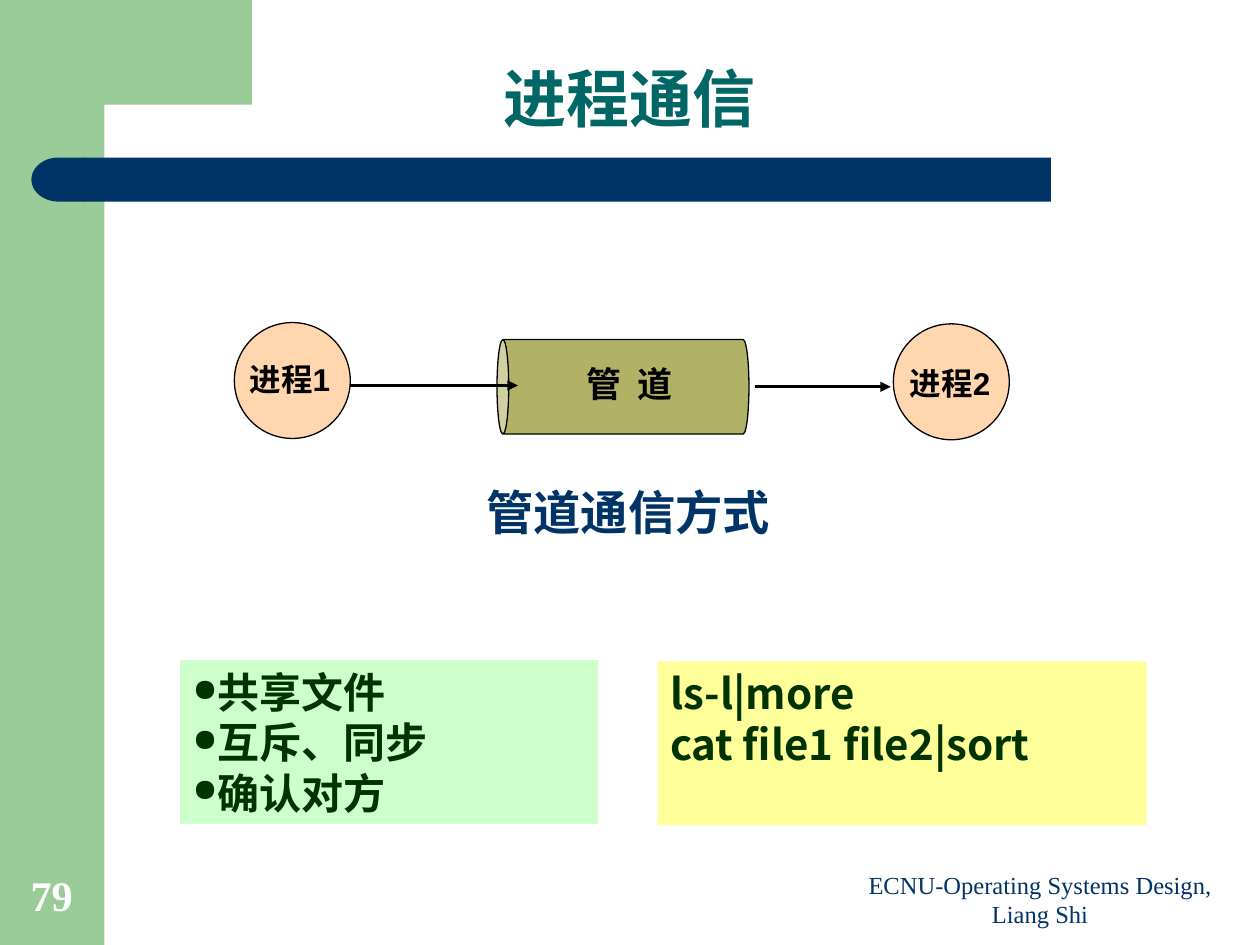
from dataclasses import dataclass

from lxml.etree import SubElement
from pptx import Presentation
from pptx.dml.color import RGBColor
from pptx.enum.shapes import MSO_CONNECTOR, MSO_SHAPE
from pptx.enum.text import MSO_ANCHOR, PP_ALIGN
from pptx.oxml.ns import qn
from pptx.util import Inches, Pt


@dataclass(frozen=True)
class Theme:
    green: str = "99CC99"
    navy: str = "003366"
    teal: str = "006666"
    peach: str = "FFCC99"
    olive: str = "808000"
    mint: str = "CCFFCC"
    yellow: str = "FFFF99"
    dark_green: str = "003300"
    black: str = "000000"
    white: str = "FFFFFF"
    sans: str = "Arial"
    serif: str = "Times New Roman"
    chinese: str = "Noto Sans CJK SC"
    title: float = 36
    caption: float = 27
    note: float = 24
    pipe: float = 20
    process: float = 18
    footer: float = 14
    number: float = 24.1


THEME = Theme()


def inches(*lengths):
    return [Inches(length) for length in lengths]


def paint(shape, fill, alpha=None, outline=None):
    """Fill a shape; alpha is the opacity in percent."""
    shape.shadow.inherit = False
    shape.fill.solid()
    shape.fill.fore_color.rgb = RGBColor.from_string(fill)
    if alpha is not None:
        color = shape.fill._xPr.find(qn("a:solidFill"))[0]
        SubElement(color, qn("a:alpha"), val=str(alpha * 1000))
    if outline:
        shape.line.color.rgb = RGBColor.from_string(outline)
        shape.line.width = Pt(0.75)
    else:
        shape.line.fill.background()


def add_shape(page, kind, place, fill, **look):
    shape = page.shapes.add_shape(kind, *inches(*place))
    paint(shape, fill, **look)
    return shape


def add_bullet(para, color):
    properties = para._p.get_or_add_pPr()
    bullet_color = SubElement(properties, qn("a:buClr"))
    SubElement(bullet_color, qn("a:srgbClr"), val=color)
    SubElement(properties, qn("a:buSzPct"), val="75000")
    SubElement(properties, qn("a:buChar"), char="●")


def write(box, text, size, color, font=THEME.sans, bold=True, align=PP_ALIGN.CENTER,
          anchor=MSO_ANCHOR.TOP, inset=(0.1, 0.05), spacing=None, bullets=False):
    """Write each line of text as one paragraph of the box."""
    frame = box.text_frame
    frame.word_wrap = True
    frame.vertical_anchor = anchor
    frame.margin_left = frame.margin_right = Inches(inset[0])
    frame.margin_top = frame.margin_bottom = Inches(inset[1])
    for index, line in enumerate(text.split("\n")):
        para = frame.add_paragraph() if index else frame.paragraphs[0]
        para.alignment = align
        if spacing:
            para.line_spacing = spacing
        if bullets:
            add_bullet(para, color)
        span = para.add_run()
        span.text = line
        span.font.size = Pt(size)
        span.font.bold = bold
        span.font.color.rgb = RGBColor.from_string(color)
        span.font.name = font
        SubElement(span._r.get_or_add_rPr(), qn("a:ea"), typeface=THEME.chinese)


def add_text(page, place, text, size, color, **look):
    write(page.shapes.add_textbox(*inches(*place)), text, size, color, **look)


def add_arrow(page, start, end, y):
    arrow = page.shapes.add_connector(MSO_CONNECTOR.STRAIGHT, *inches(start, y, end, y))
    arrow.line.color.rgb = RGBColor.from_string(THEME.black)
    arrow.line.width = Pt(1.5)
    SubElement(arrow.line._get_or_add_ln(), qn("a:tailEnd"), type="triangle")
    SubElement(arrow._element.spPr, qn("a:effectLst"))


def add_frame(page):
    """Green side band with its corner, and the navy bar under the title."""
    add_shape(page, MSO_SHAPE.RECTANGLE, (0, 0, 0.83, 7.5), THEME.green)
    corner = [(0.5, 0), (0.5, 1.28), (0.67, 1.28), (0.67, 1.16), (0.68, 1.04),
              (0.71, 0.92), (0.77, 0.85), (0.83, 0.83), (2, 0.83)]
    start, *others = [inches(*point) for point in corner]
    builder = page.shapes.build_freeform(*inches(2, 0))
    builder.add_line_segments([start, *others], close=True)
    paint(builder.convert_to_shape(), THEME.green)
    add_shape(page, MSO_SHAPE.RECTANGLE, (0.67, 1.25, 7.67, 0.35), THEME.navy)
    cap = add_shape(page, MSO_SHAPE.FLOWCHART_DELAY, (0.25, 1.25, 0.43, 0.35), THEME.navy)
    cap._element.spPr.xfrm.set("flipH", "1")


def add_pipe_diagram(page):
    for left, top in ((1.86, 2.56), (7.09, 2.57)):
        add_shape(page, MSO_SHAPE.OVAL, (left, top, 0.92, 0.92), THEME.peach,
                  alpha=80, outline=THEME.black)
    pipe = add_shape(page, MSO_SHAPE.CAN, (4.57, 2.07, 0.75, 2), THEME.olive,
                     alpha=60, outline=THEME.black)
    pipe.adjustments[0] = 0.124
    pipe.rotation = 270
    add_arrow(page, 2.78, 4.11, 3.06)
    add_arrow(page, 5.99, 7.07, 3.07)
    add_text(page, (4.24, 2.83, 1.51, 0.44), "管  道", THEME.pipe, THEME.black)
    for left, top, label in ((1.74, 2.81, "进程1"), (6.98, 2.84, "进程2")):
        add_text(page, (left, top, 1.12, 0.4), label, THEME.process, THEME.black)


def add_note(page, place, fill, text, **look):
    note = add_shape(page, MSO_SHAPE.RECTANGLE, place, fill)
    write(note, text, THEME.note, THEME.dark_green, font=THEME.chinese,
          align=PP_ALIGN.LEFT, **look)


def main():
    deck = Presentation()
    deck.slide_width, deck.slide_height = inches(10, 7.5)
    page = deck.slides.add_slide(deck.slide_layouts[6])
    add_frame(page)
    add_text(page, (3.07, 3.79, 3.83, 0.56), "管道通信方式", THEME.caption, THEME.navy,
             font=THEME.chinese, inset=(0.2, 0.05))
    add_pipe_diagram(page)
    add_note(page, (1.43, 5.24, 3.32, 1.3), THEME.mint,
             "共享文件\n互斥、同步\n确认对方", bullets=True)
    add_note(page, (5.22, 5.25, 3.88, 1.3), THEME.yellow, "ls-l|more\ncat file1 file2|sort")
    add_text(page, (0.05, 0.35, 9.89, 0.73), "进程通信", THEME.title, THEME.teal,
             anchor=MSO_ANCHOR.BOTTOM, inset=(0, 0), spacing=0.9)
    add_text(page, (6.67, 6.9, 3.17, 0.52), "ECNU-Operating Systems Design, Liang Shi",
             THEME.footer, THEME.navy, font=THEME.serif, bold=False,
             anchor=MSO_ANCHOR.BOTTOM)
    add_text(page, (0, 6.83, 0.82, 0.53), "79", THEME.number, THEME.white,
             font=THEME.serif, align=PP_ALIGN.CENTER, anchor=MSO_ANCHOR.BOTTOM, spacing=0.9)
    deck.save("out.pptx")


if __name__ == "__main__":
    main()
